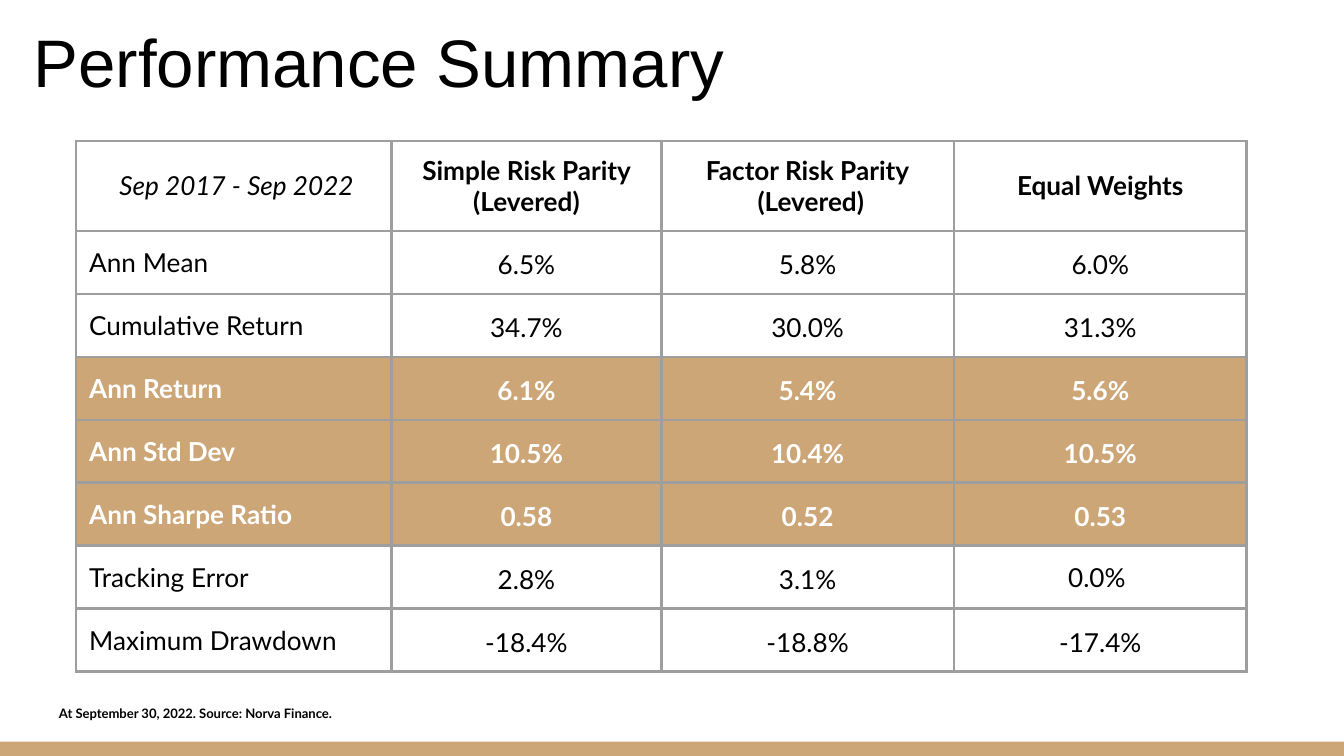
from pptx import Presentation
from pptx.dml.color import RGBColor
from pptx.enum.shapes import MSO_SHAPE
from pptx.enum.text import MSO_ANCHOR, MSO_AUTO_SIZE, PP_ALIGN
from pptx.oxml import parse_xml
from pptx.oxml.ns import nsdecls
from pptx.util import Pt

RECTANGLE = MSO_SHAPE.RECTANGLE
TOP, MIDDLE, BOTTOM = MSO_ANCHOR.TOP, MSO_ANCHOR.MIDDLE, MSO_ANCHOR.BOTTOM
LEFT, CENTER = PP_ALIGN.LEFT, PP_ALIGN.CENTER
NO_FIT = MSO_AUTO_SIZE.NONE

WIDTH, HEIGHT = 720, 405
INSET = 7.2
TITLE_ONLY = 5
COLORS = {"text": "000000", "paper": "FFFFFF", "accent": "CCA677", "grid": "9E9E9E"}

HEADERS = [" Sep 2017 - Sep 2022", "Simple Risk Parity (Levered)",
           "Factor Risk Parity\n (Levered)", "Equal Weights"]
METRICS = [
    ["Ann Mean", "6.5%", "5.8%", "6.0%"],
    ["Cumulative Return", "34.7%", "30.0%", "31.3%"],
    ["Ann Return", "6.1%", "5.4%", "5.6%"],
    ["Ann Std Dev", "10.5%", "10.4%", "10.5%"],
    ["Ann Sharpe Ratio", "0.58", "0.52", "0.53"],
    ["Tracking Error", "2.8%", "3.1%", "0.0% "],
    ["Maximum Drawdown", "-18.4%", "-18.8%", "-17.4%"],
]
HIGHLIGHTED = {"Ann Return", "Ann Std Dev", "Ann Sharpe Ratio"}
SINGLE_SPACED = {"0.0% "}
COLUMN_WIDTHS = [169.2, 144.5, 156.8, 156.8]
HEADER_HEIGHT, METRIC_HEIGHT = 48.2, 31


def rgb(name):
    return RGBColor.from_string(COLORS[name])


def write(frame, text, size=14, font="Lato", color="text", bold=False,
          italic=False, align=LEFT, spacing=None):
    frame.text = text
    for paragraph in frame.paragraphs:
        paragraph.alignment = align
        if spacing:
            paragraph.line_spacing = spacing
        for run in paragraph.runs:
            run.font.size = Pt(size)
            run.font.name = font
            run.font.bold = bold
            run.font.italic = italic
            run.font.color.rgb = rgb(color)


class SlideBuilder:
    def __init__(self, slide):
        self.slide = slide

    def set_frame(self, frame, anchor):
        frame.word_wrap = True
        frame.auto_size = NO_FIT
        frame.vertical_anchor = anchor
        frame.margin_left = frame.margin_right = Pt(INSET)
        frame.margin_top = frame.margin_bottom = Pt(INSET)

    def bar(self, left, top, width, height, color):
        bar = self.slide.shapes.add_shape(
            RECTANGLE, Pt(left), Pt(top), Pt(width), Pt(height))
        bar.shadow.inherit = False
        bar.fill.solid()
        bar.fill.fore_color.rgb = rgb(color)
        bar.line.fill.background()

    def title(self, text, left, top, width, height):
        title = self.slide.shapes.title
        title.left, title.top = Pt(left), Pt(top)
        title.width, title.height = Pt(width), Pt(height)
        self.set_frame(title.text_frame, BOTTOM)
        write(title.text_frame, text, size=36, font="Arial")

    def note(self, text, left, top, width, height):
        note = self.slide.shapes.add_textbox(
            Pt(left), Pt(top), Pt(width), Pt(height))
        self.set_frame(note.text_frame, TOP)
        write(note.text_frame, text, size=7, bold=True)

    def cell(self, cell, text, fill="paper", **text_format):
        cell.vertical_anchor = MIDDLE
        cell.margin_left = cell.margin_right = Pt(INSET)
        cell.margin_top = cell.margin_bottom = Pt(INSET)
        write(cell.text_frame, text, **text_format)
        properties = cell._tc.get_or_add_tcPr()
        for side in ("lnL", "lnR", "lnT", "lnB"):
            properties.append(parse_xml(
                f'<a:{side} {nsdecls("a")} w="{Pt(1.5)}"><a:solidFill>'
                f'<a:srgbClr val="{COLORS["grid"]}"/></a:solidFill></a:{side}>'))
        cell.fill.solid()
        cell.fill.fore_color.rgb = rgb(fill)

    def performance_table(self, left, top):
        heights = [HEADER_HEIGHT] + [METRIC_HEIGHT] * len(METRICS)
        table = self.slide.shapes.add_table(
            len(heights), len(COLUMN_WIDTHS), Pt(left), Pt(top),
            Pt(sum(COLUMN_WIDTHS)), Pt(sum(heights))).table
        table.first_row = table.horz_banding = False
        for column, width in zip(table.columns, COLUMN_WIDTHS):
            column.width = Pt(width)
        for row, height in zip(table.rows, heights):
            row.height = Pt(height)

        for column, header in enumerate(HEADERS):
            self.cell(table.cell(0, column), header, align=CENTER,
                      bold=column > 0, italic=column == 0)
        for row, metric in enumerate(METRICS, 1):
            strong = metric[0] in HIGHLIGHTED
            for column, text in enumerate(metric):
                spaced = column > 0 and text not in SINGLE_SPACED
                self.cell(table.cell(row, column), text,
                          fill="accent" if strong else "paper",
                          color="paper" if strong else "text",
                          bold=strong,
                          align=CENTER if column else LEFT,
                          spacing=1.15 if spaced else None)


def main():
    deck = Presentation()
    deck.slide_width, deck.slide_height = Pt(WIDTH), Pt(HEIGHT)
    builder = SlideBuilder(deck.slides.add_slide(deck.slide_layouts[TITLE_ONLY]))
    builder.bar(0, 397.4, WIDTH, 7.6, "accent")
    builder.performance_table(40.6, 75.5)
    builder.note("At September 30, 2022. Source: Norva Finance.",
                 24.5, 370.8, 231, 23)
    builder.title("Performance Summary", 10.8, -4.3, 671, 65.5)
    deck.save("out.pptx")


if __name__ == "__main__":
    main()
